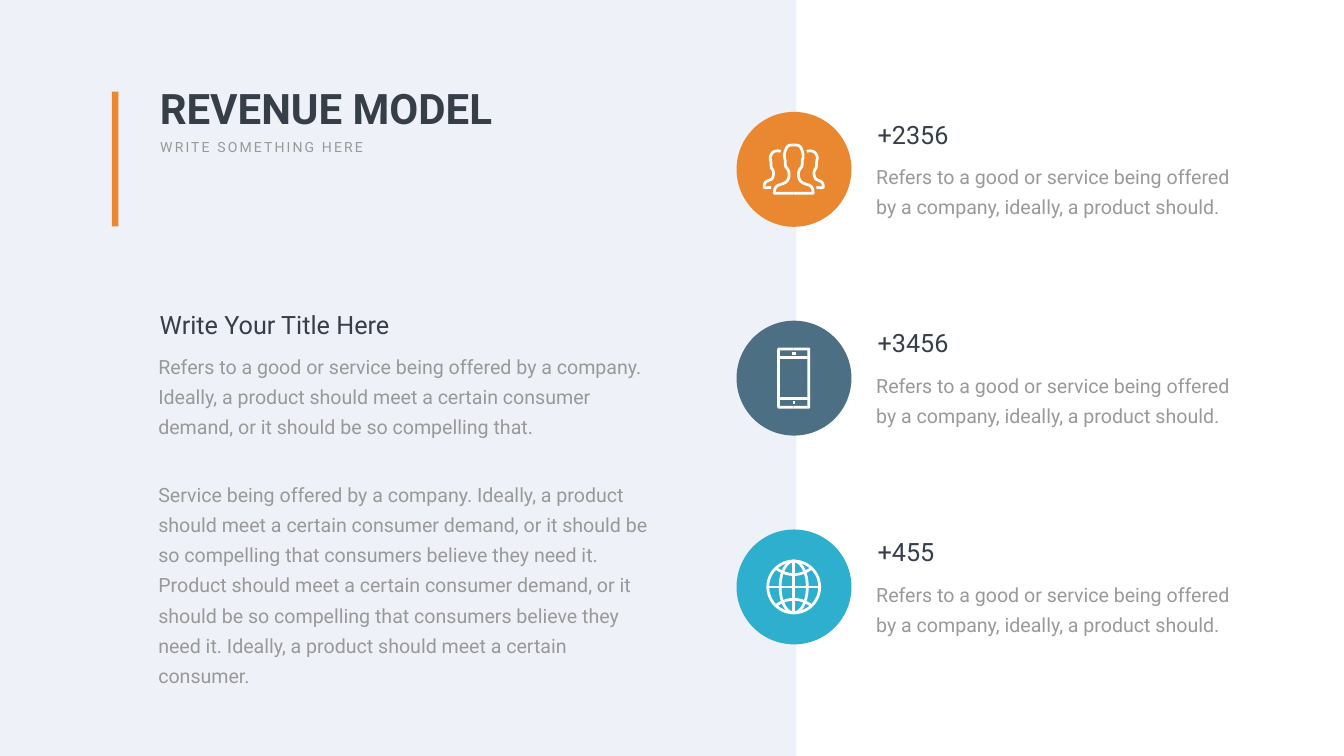
from math import cos, pi, sin
from pptx import Presentation
from pptx.dml.color import RGBColor
from pptx.enum.shapes import MSO_SHAPE
from pptx.enum.text import MSO_ANCHOR, MSO_AUTO_SIZE, PP_ALIGN
from pptx.util import Inches, Pt

COLS, ROWS = 266.6, 150
CELL = Inches(0.1)
FONT = "Roboto"
DARK, GREY, WHITE = "363E48", "999999", "FFFFFF"
PALE, ORANGE, SLATE, CYAN = "EFF1F8", "EA8831", "4D6F84", "2FAFCE"


def cells(*sizes):
    return [round(size * CELL) for size in sizes]


def color(code):
    return RGBColor.from_string(code)


def mirror(points, sx, sy):
    return [(sx * dx, sy * dy) for dx, dy in points]


def oval(rx, ry):
    turns = [2 * pi * step / 48 for step in range(49)]
    return [(rx * cos(turn), ry * sin(turn)) for turn in turns]


def soften(points):
    for _ in range(2):
        curve = [points[0]]
        for (ax, ay), (bx, by) in zip(points, points[1:]):
            curve.append((0.75 * ax + 0.25 * bx, 0.75 * ay + 0.25 * by))
            curve.append((0.25 * ax + 0.75 * bx, 0.25 * ay + 0.75 * by))
        points = curve + [points[-1]]
    return points


class Deck:
    def __init__(self):
        self.prs = Presentation()
        self.prs.slide_width, self.prs.slide_height = cells(COLS, ROWS)
        self.slide = self.prs.slides.add_slide(self.prs.slide_layouts[5])
        self.shapes = self.slide.shapes

    def shape(self, kind, x, y, w, h, fill):
        shape = self.shapes.add_shape(kind, *cells(x, y, w, h))
        shape.shadow.inherit = False
        shape.fill.solid()
        shape.fill.fore_color.rgb = color(fill)
        shape.line.fill.background()
        return shape

    def icon(self, x, y, strokes):
        pen = None
        for stroke in strokes:
            spots = [cells(x + dx, y + dy) for dx, dy in stroke]
            if pen:
                pen.move_to(*spots[0])
            else:
                pen = self.shapes.build_freeform(*spots[0])
            pen.add_line_segments(spots[1:], close=stroke[0] == stroke[-1])
        mark = pen.convert_to_shape()
        mark.shadow.inherit = False
        mark.fill.background()
        mark.line.color.rgb = color(WHITE)
        mark.line.width = Pt(3.9)

    def style(self, para, size, tint, bold=False):
        para.alignment = PP_ALIGN.LEFT
        font = para.font
        font.name, font.size, font.bold = FONT, Pt(size), bold
        font.color.rgb = color(tint)

    def title(self, text, x, y, w, h):
        head = self.shapes.title
        head.left, head.top, head.width, head.height = cells(x, y, w, h)
        frame = head.text_frame
        frame.text = text
        frame.auto_size = MSO_AUTO_SIZE.NONE
        frame.vertical_anchor = MSO_ANCHOR.TOP
        frame.paragraphs[0].line_spacing = 1.0
        self.style(frame.paragraphs[0], 60, DARK, True)

    def text(self, words, x, y, w, h, size, tint, wrap=True):
        frame = self.shapes.add_textbox(*cells(x, y, w, h)).text_frame
        frame.word_wrap = wrap
        frame.text = words
        for para in frame.paragraphs:
            self.style(para, size, tint)
        return frame

    def label(self, words, x, y):
        self.text(words, x, y, 56.7, 7.1, 36, DARK)

    def body(self, words, x, y, w, h):
        frame = self.text(words, x, y, w, h, 28, GREY)
        frame.margin_left = frame.margin_right = Inches(0.24)
        frame.margin_top = frame.margin_bottom = Inches(0.12)
        for para in frame.paragraphs:
            para.line_spacing = Pt(43)
        for para in frame.paragraphs[1:]:
            para.space_before = Pt(54.2)


def people():
    half = [(0, -4.85), (1.2, -4.75), (1.75, -3.6), (1.9, -2.5), (1.65, -1.7),
            (1.7, -0.6), (1.05, 0.1), (0.85, 1.3), (1.3, 2.4), (2.1, 2.85),
            (3.6, 3.3), (3.9, 4.7), (3.8, 4.75), (0, 4.75)]
    side = [(2.6, -3.55), (3.1, -3.7), (4.1, -3.55), (4.75, -2.5), (4.5, -1.4),
            (4.5, -0.3), (4.05, 0.2), (4, 1.1), (4.3, 1.95), (4.9, 2.15),
            (5.75, 2.6), (5.9, 3.6), (5.7, 3.65), (4.5, 3.62)]
    return [mirror(soften(part), sign, 1) for part in (half, side) for sign in (1, -1)]


def phone():
    corner = [(0, -5.8), (2.2, -5.8), (2.95, -5.8), (3, -5.75), (3, -5), (3, 0)]
    case = [mirror(soften(corner), sx, sy) for sx in (1, -1) for sy in (1, -1)]
    bars = [[(-3, dy), (3, dy)] for dy in (-4.1, 4.1)]
    return case + bars + [[(-0.4, -4.95), (0.4, -4.95)], [(-0.2, 4.9), (0.2, 4.9)]]


def globe():
    arc = soften([(-3.4, 3.6), (-2.4, 3), (-1.2, 2.55), (0, 2.45),
                  (1.2, 2.55), (2.4, 3), (3.4, 3.6)])
    axes = [[(-5.15, 0), (5.15, 0)], [(0, -5.15), (0, 5.15)]]
    return [oval(5.15, 5.15), oval(2.7, 5.15), arc, mirror(arc, 1, -1)] + axes


def main():
    deck = Deck()
    panel = deck.shape(MSO_SHAPE.RECTANGLE, 0, 0, 158, ROWS, PALE)
    deck.shapes.title._element.addprevious(panel._element)
    deck.title("REVENUE MODEL", 30.7, 15.9, 103.9, 11.1)
    sub = deck.text("WRITE SOMETHING HERE", 30.8, 27, 43.5, 4.4, 20, GREY, wrap=False)
    sub.paragraphs[0].runs[0]._r.get_or_add_rPr().set("spc", "300")
    deck.shape(MSO_SHAPE.RECTANGLE, 22.2, 18.2, 1.3, 26.7, ORANGE)

    deck.body(
        "Refers to a good or service being offered by a company. Ideally, a product "
        "should meet a certain consumer demand, or it should be so compelling that.\n"
        "Service being offered by a company. Ideally, a product should meet a certain "
        "consumer demand, or it should be so compelling that consumers believe they "
        "need it. Product should meet a certain consumer demand, or it should be so "
        "compelling that consumers believe they need it. Ideally, a product should "
        "meet a certain consumer.", 29, 67.9, 104.2, 64.1)
    deck.label("Write Your Title Here", 30.7, 60.9)

    items = [("+2356", ORANGE, people), ("+3456", SLATE, phone), ("+455", CYAN, globe)]
    for row, (count, tint, draw) in enumerate(items):
        top = 22.2 + 41.43 * row
        deck.body("Refers to a good or service being offered by a company, ideally, "
                  "a product should.", 171.4, top + 8.03, 76.2, 13.8)
        deck.label(count, 173.1, top + 0.9)
        deck.shape(MSO_SHAPE.OVAL, 146.1, top, 22.8, 22.8, tint)
        deck.icon(157.45, top + 11.4, draw())
    deck.prs.save("out.pptx")


if __name__ == "__main__":
    main()
